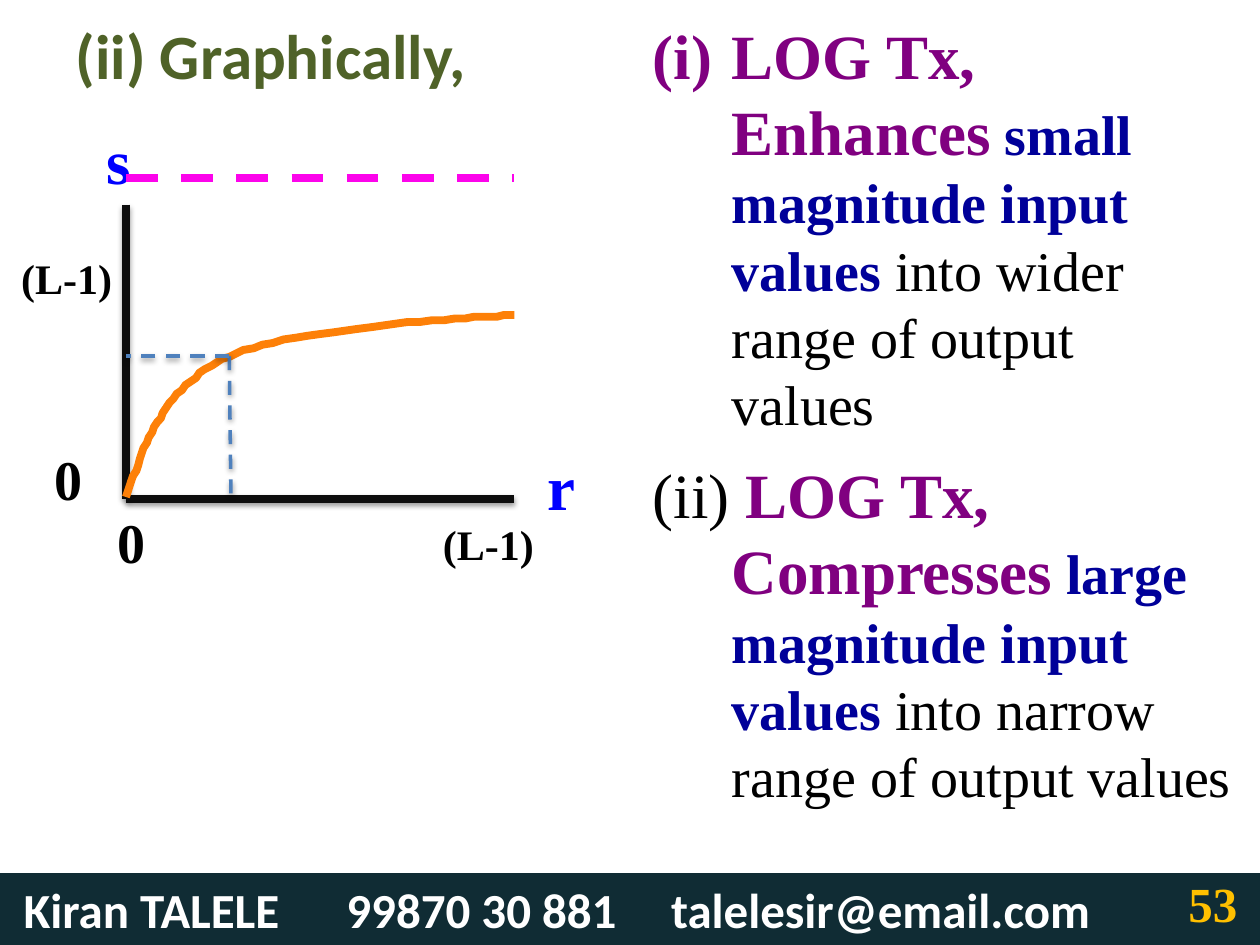
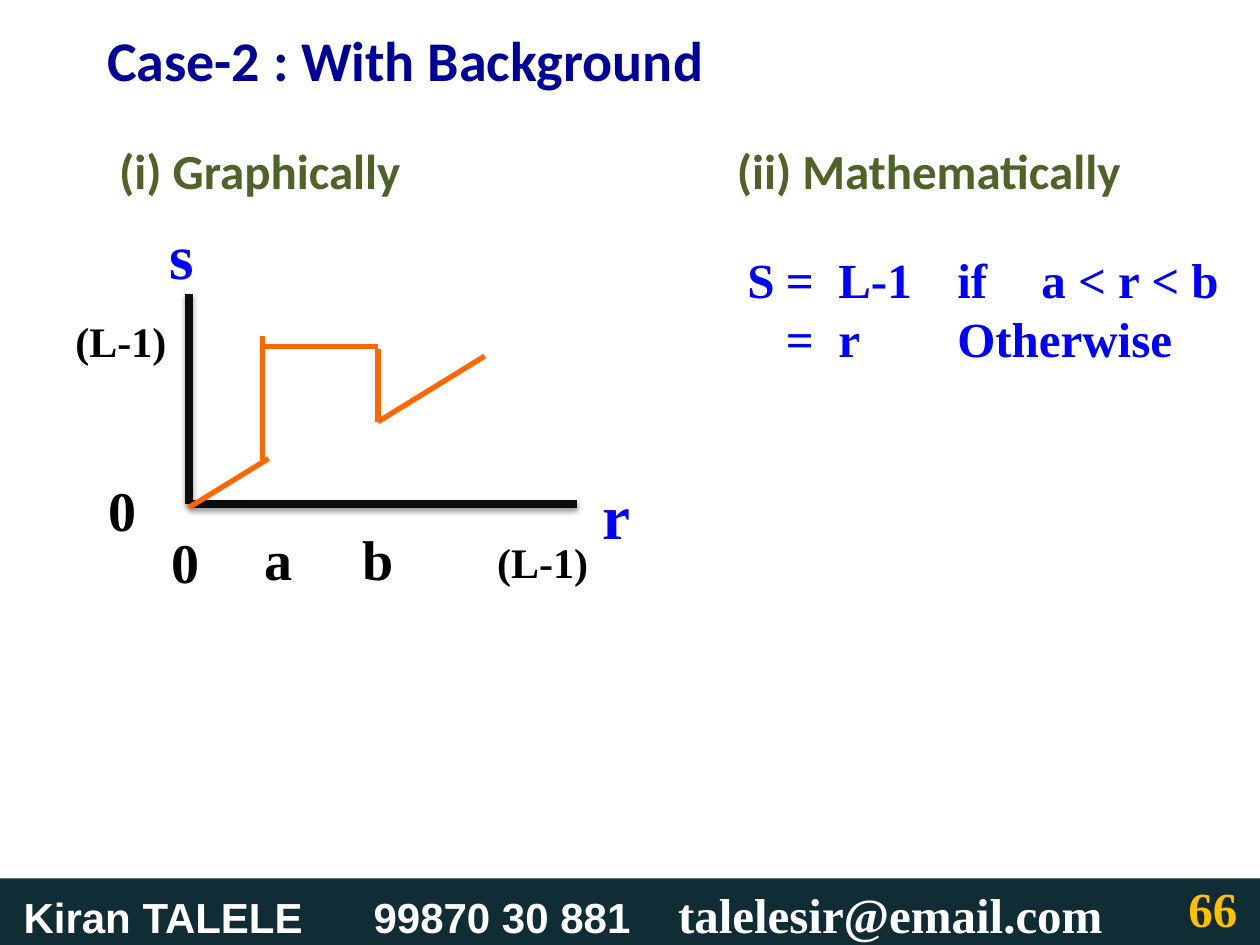
import pptx
import pptx.dml.color
import pptx.enum.dml
import pptx.enum.shapes
import pptx.enum.text
import pptx.oxml.ns
import pptx.util
from lxml import etree

Pt = pptx.util.Pt

COLORS = {
    "band": "102C34", "white": "FFFFFF", "number": "FFC000",
    "green": "4F6228", "navy": "000099", "purple": "800080",
    "blue": "0000FF", "black": "000000", "axis": "0D0D0D",
    "limit": "FC04EB", "curve": "FD8008", "guide": "4F81BD",
    "step": "FF6600",
}
SERIF, SANS, ARIAL = "Times New Roman", "Calibri", "Arial"
EMAIL = "talelesir@email.com"


def rgb(name):
    return pptx.dml.color.RGBColor.from_string(COLORS[name])


def add_element(parent, tag, **attributes):
    return etree.SubElement(parent, pptx.oxml.ns.qn(tag), attributes)


def style(font, size, color, name=SERIF, bold=True):
    font.size, font.name, font.bold = Pt(size), name, bold
    font.color.rgb = rgb(color)


def add_run(paragraph, text, size, color, name=SERIF, bold=True):
    run = paragraph.add_run()
    run.text = text
    style(run.font, size, color, name, bold)


def set_tabs(paragraph, stops):
    tabs = add_element(paragraph._p.get_or_add_pPr(), "a:tabLst")
    for stop in stops:
        add_element(tabs, "a:tab", pos=str(Pt(stop)), algn="l")


def add_box(slide, left, top, width, height):
    frame = slide.shapes.add_textbox(Pt(left), Pt(top), Pt(width), Pt(height)).text_frame
    frame.word_wrap = True
    return frame


def add_label(slide, text, left, top, size, color="black", name=SERIF, width=72):
    paragraph = add_box(slide, left, top, width, size * 1.2 + 7.2).paragraphs[0]
    paragraph.text = text
    style(paragraph.font, size, color, name)


def add_title(slide, text, left, top, width, height, size, color):
    title = slide.shapes.title
    title.left, title.top, title.width, title.height = map(Pt, (left, top, width, height))
    title.text_frame.vertical_anchor = pptx.enum.text.MSO_ANCHOR.MIDDLE
    paragraph = title.text_frame.paragraphs[0]
    paragraph.text = text
    paragraph.alignment = pptx.enum.text.PP_ALIGN.LEFT
    style(paragraph.font, size, color, SANS)


def add_footer(slide, top, number, phone, stops, contact_font, email_font):
    band = slide.shapes.add_shape(
        pptx.enum.shapes.MSO_SHAPE.RECTANGLE, 0, Pt(top), Pt(720), Pt(41.5))
    band.shadow.inherit = False
    band.fill.solid()
    band.fill.fore_color.rgb = rgb("band")
    band.line.fill.background()
    frame = band.text_frame
    frame.margin_left = Pt(13.5)
    frame.vertical_anchor = pptx.enum.text.MSO_ANCHOR.TOP
    paragraph = frame.paragraphs[0]
    paragraph.alignment = pptx.enum.text.PP_ALIGN.LEFT
    set_tabs(paragraph, stops)
    name, size = contact_font
    add_run(paragraph, f"Kiran TALELE\t{phone}\t", size, "white", name)
    add_run(paragraph, EMAIL, 28, "white", email_font)
    add_label(slide, number, 672, top - 3.5, 28, "number", width=48)


def add_line(slide, start, end, color, width, dashed=False, shadow=False):
    line = slide.shapes.add_connector(
        pptx.enum.shapes.MSO_CONNECTOR.STRAIGHT, *map(Pt, start + end))
    line.line.color.rgb = rgb(color)
    line.line.width = Pt(width)
    if dashed:
        line.line.dash_style = pptx.enum.dml.MSO_LINE.DASH
    effects = add_element(line._element.spPr, "a:effectLst")
    if shadow:
        outer = add_element(effects, "a:outerShdw", blurRad=str(Pt(3.1)),
                            dist=str(Pt(1.6)), dir="5400000", rotWithShape="0")
        shade = add_element(outer, "a:srgbClr", val=COLORS["black"])
        add_element(shade, "a:alpha", val="38000")


def add_axes(slide, left, top, bottom):
    origin = (left, bottom)
    add_line(slide, (left, top), origin, "axis", 4.5, shadow=True)
    add_line(slide, origin, (left + 222, bottom), "axis", 4.5, shadow=True)


def bezier(start, first, second, end, steps=30):
    for step in range(1, steps + 1):
        t = step / steps
        weights = ((1 - t) ** 3, 3 * t * (1 - t) ** 2, 3 * t ** 2 * (1 - t), t ** 3)
        yield tuple(sum(weight * point[axis] for weight, point
                        in zip(weights, (start, first, second, end))) for axis in (0, 1))


def add_log_curve(slide, origin, knee, end):
    points = list(bezier(origin, (82.8, 252.7), (93.6, 221), knee))
    points += bezier(knee, (167.8, 185.8), end, end)
    builder = slide.shapes.build_freeform(*origin, scale=Pt(1))
    builder.add_line_segments(points, close=False)
    curve = builder.convert_to_shape()
    curve.shadow.inherit = False
    curve.fill.background()
    curve.line.color.rgb = rgb("curve")
    curve.line.width = Pt(4.5)


def add_remark(slide, top, width, height, runs, numbered=False):
    paragraph = add_box(slide, 366, top, width, height).paragraphs[0]
    properties = paragraph._p.get_or_add_pPr()
    properties.set("marL", str(Pt(45)))
    properties.set("indent", str(Pt(-45)))
    if numbered:
        color = add_element(properties, "a:buClr")
        add_element(color, "a:srgbClr", val=COLORS["purple"])
        add_element(properties, "a:buFont", typeface=SERIF)
        add_element(properties, "a:buAutoNum", type="romanLcParenBoth")
    for text, size, color, bold in runs:
        add_run(paragraph, text, size, color, bold=bold)


def build_log_slide(slide):
    add_title(slide, "(ii) Graphically,", 36, 0, 648, 62.5, 36, "green")
    add_remark(slide, 6, 342, 250, [
        ("LOG Tx, Enhances", 36, "purple", True),
        (" small magnitude input values", 32, "navy", True),
        (" into wider range of output values", 32, "black", False)], numbered=True)
    add_remark(slide, 257, 366, 211, [
        ("(ii) ", 36, "black", False),
        ("LOG Tx, Compresses", 36, "purple", True),
        (" large magnitude input values", 32, "navy", True),
        (" into narrow range of output values", 32, "black", False)])
    add_footer(slide, 499, "53", "99870 30 881", (184.5, 370), (SANS, 28), SANS)

    add_label(slide, "0", 24, 250.5, 32)
    add_label(slide, "r", 306, 252, 36, "blue")
    add_label(slide, "s", 54, 66, 36, "blue")
    add_axes(slide, 72, 117, 285)
    add_line(slide, (72, 101.5), (294, 101.5), "limit", 4.5, dashed=True)
    add_label(slide, "(L-1)", 5, 140.5, 24)
    add_label(slide, "0", 60, 286.5, 32)
    add_label(slide, "(L-1)", 246, 293, 24)

    knee = (131, 203.5)
    add_log_curve(slide, (72, 284.5), knee, (294, 180))
    for foot in ((132, 284.5), (72, 203.5)):
        add_line(slide, knee, foot, "guide", 2, dashed=True, shadow=True)


def add_formula(slide):
    frame = add_box(slide, 420, 139, 300, 75)
    rows = ("S\t=\tL-1\tif\ta < r < b", "\t=\tr\tOtherwise")
    for index, row in enumerate(rows):
        paragraph = frame.add_paragraph() if index else frame.paragraphs[0]
        paragraph.text = row
        set_tabs(paragraph, (22, 52, 120, 168))
        style(paragraph.font, 28, "blue")


def build_slicing_slide(slide):
    add_title(slide, "Case-2 : With Background", 54, 6, 384, 56, 32, "navy")
    add_footer(slide, 502, "66", "99870 30 881", (200, 374), (ARIAL, 24), SERIF)
    for text, left in (("(i) Graphically", 61), ("(ii) Mathematically", 414)):
        add_label(slide, text, left, 77, 28, "green", SANS, 246)
    add_formula(slide)

    add_label(slide, "s", 90, 120, 36, "blue")
    add_label(slide, "0", 55, 268, 32)
    add_label(slide, "r", 337, 269, 36, "blue")
    add_label(slide, "(L-1)", 36, 176.5, 24)
    add_label(slide, "0", 91, 298, 32)
    add_label(slide, "(L-1)", 277, 303, 24)
    for text, left in (("a", 144), ("b", 200)):
        add_label(slide, text, left, 296, 32)
    add_axes(slide, 108, 168, 288)

    a, b, high, low = 150, 216, 198, 241
    segments = (
        ((a, high), (b, high)),
        ((a, 192), (a, 263.5)),
        ((b, 199.5), (b, low)),
        ((153.5, 262), (108, 290)),
        ((277, 203.5), (b, low)),
    )
    for start, end in segments:
        add_line(slide, start, end, "step", 3)


def main():
    presentation = pptx.Presentation()
    presentation.slide_width, presentation.slide_height = Pt(720), Pt(540)
    title_only = presentation.slide_layouts[5]
    for build in (build_log_slide, build_slicing_slide):
        build(presentation.slides.add_slide(title_only))
    presentation.save("out.pptx")


if __name__ == "__main__":
    main()
